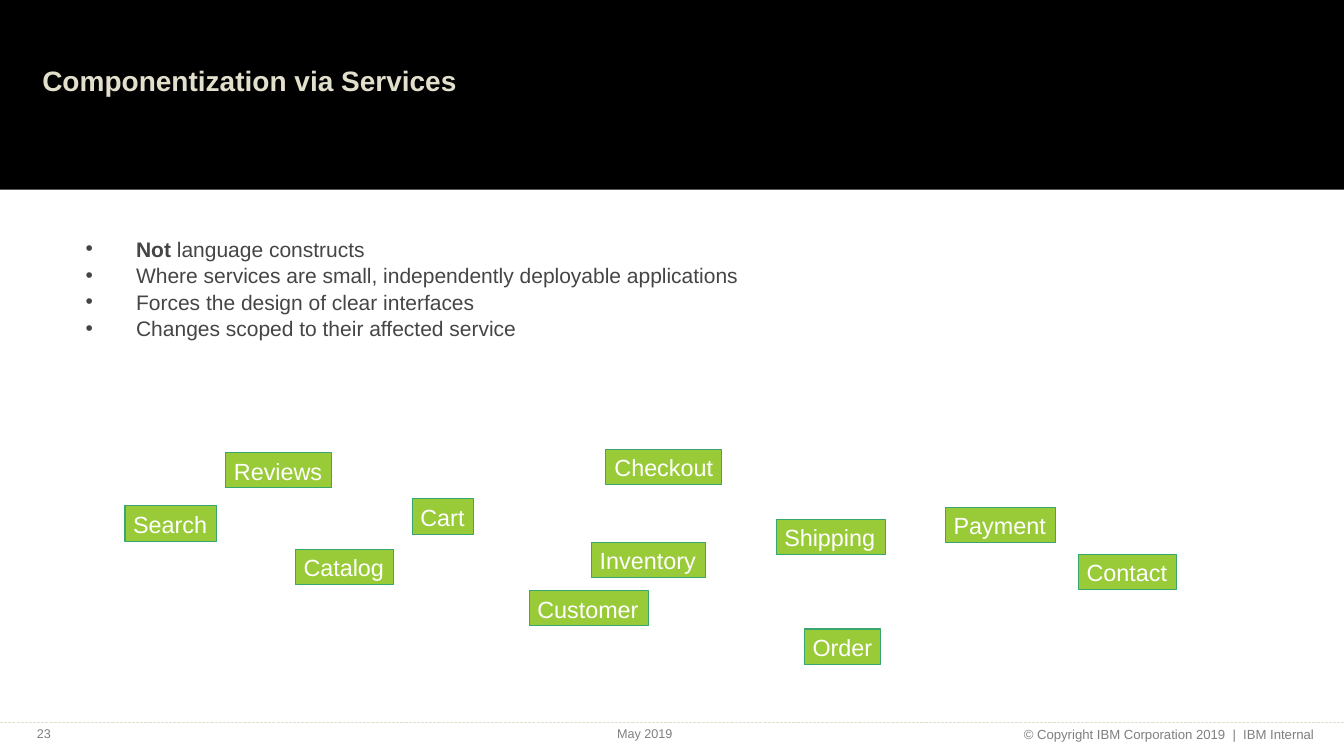
from dataclasses import dataclass

from lxml.etree import SubElement as sub
from pptx import Presentation
from pptx.dml.color import RGBColor as Rgb
from pptx.enum.dml import MSO_LINE as Dash
from pptx.enum.shapes import MSO_CONNECTOR as Conn, MSO_SHAPE as Shape
from pptx.enum.text import MSO_ANCHOR as Anchor, MSO_AUTO_SIZE as Fit, PP_ALIGN as Align
from pptx.oxml.ns import qn
from pptx.util import Pt


@dataclass(frozen=True)
class Theme:
    """Hold the colours and type sizes of the slide."""
    font: str = "Arial"
    dark: str = "000000"
    cream: str = "E2DFCC"
    body: str = "454545"
    gray: str = "7F7F7F"
    green: str = "99CB38"
    edge: str = "37A76F"
    white: str = "FFFFFF"
    head: float = 20
    text: float = 15
    label: float = 16.7
    foot: float = 9
    legal: float = 9.4


THEME = Theme()
WIDE, HIGH = 960, 540
BAND = 135.4
RULE = 516.2
TALL = 25.2

POINTS = [
    [("Not", True), (" language constructs", False)],
    [("Where services are small, independently deployable applications", False)],
    [("Forces the design of clear interfaces", False)],
    [("Changes scoped to their affected service", False)],
]

PARTS = [
    ("Cart", 294.5, 356.4, 43.9),
    ("Reviews", 161.3, 323.3, 75.6),
    ("Checkout", 432.7, 321.1, 82.8),
    ("Catalog", 211, 392.4, 69.8),
    ("Inventory", 422.6, 387.4, 81.4),
    ("Customer", 378, 421.9, 85),
    ("Shipping", 554.4, 370.8, 77.8),
    ("Payment", 675.4, 362.2, 78.5),
    ("Search", 89.3, 361.4, 65.5),
    ("Order", 574.6, 449.3, 54.7),
    ("Contact", 770.4, 396, 69.8),
]

FOOT = [
    ("May 2019", 254.2, 507.6, 412.6, 32.4, THEME.foot, Align.CENTER),
    ("© Copyright IBM Corporation 2019  |  IBM Internal",
     628.6, 508.3, 316.8, 31.7, THEME.legal, Align.RIGHT),
    ("23", 0, 508.3, 62.6, 31, THEME.foot, Align.CENTER),
]


def add_run(para, text, size, color, bold=False):
    """Add one styled run to a paragraph."""
    run = para.add_run()
    run.text = text
    font = run.font
    font.name, font.size, font.bold = THEME.font, Pt(size), bold
    font.color.rgb = Rgb.from_string(color)


def place(shape, x, y, w, h):
    """Move and size a shape in points."""
    shape.left, shape.top, shape.width, shape.height = map(Pt, (x, y, w, h))


def inset(frame, x, top, bottom):
    """Set the inner margins of a text frame in points."""
    frame.margin_left = frame.margin_right = Pt(x)
    frame.margin_top, frame.margin_bottom = Pt(top), Pt(bottom)


def add_rect(slide, x, y, w, h, fill):
    """Add a flat filled rectangle without an outline."""
    rect = slide.shapes.add_shape(Shape.RECTANGLE, *map(Pt, (x, y, w, h)))
    rect.shadow.inherit = False
    rect.fill.solid()
    rect.fill.fore_color.rgb = Rgb.from_string(fill)
    rect.line.fill.background()
    return rect


def add_band(slide):
    """Add the dark header band behind the title."""
    band = add_rect(slide, 0, 0, WIDE, BAND, THEME.dark)
    slide.shapes._spTree.insert(2, band._element)


def set_title(slide, text):
    """Place the title and write its text."""
    title = slide.shapes.title
    place(title, 30.2, 44.6, 810, 74.9)
    frame = title.text_frame
    inset(frame, 0, 3.6, 0)
    frame.vertical_anchor, frame.auto_size = Anchor.TOP, Fit.NONE
    para = frame.paragraphs[0]
    para.alignment, para.line_spacing = Align.LEFT, 0.9
    add_run(para, text, THEME.head, THEME.cream, True)


def set_list(slide, points):
    """Place the body and write its bullet list."""
    body = slide.placeholders[1]
    place(body, 54, 164.2, 738, 79.9)
    frame = body.text_frame
    frame.auto_size = Fit.NONE
    for i, runs in enumerate(points):
        para = frame.add_paragraph() if i else frame.paragraphs[0]
        props = para._p.get_or_add_pPr()
        props.set("marL", str(Pt(36)))
        props.set("indent", str(Pt(-36)))
        sub(props, qn("a:buFont"), typeface=THEME.font)
        sub(props, qn("a:buChar"), char="•")
        para.space_before, para.line_spacing = Pt(0), 1.05
        for text, bold in runs:
            add_run(para, text, THEME.text, THEME.body, bold)


def add_part(slide, name, x, y, w):
    """Add one green service label."""
    part = add_rect(slide, x, y, w, TALL, THEME.green)
    part.line.color.rgb = Rgb.from_string(THEME.edge)
    part.line.width = Pt(0)
    frame = part.text_frame
    inset(frame, 5.8, 2.9, 2.9)
    frame.word_wrap, frame.auto_size = False, Fit.SHAPE_TO_FIT_TEXT
    mid = name == "Checkout"
    frame.vertical_anchor = Anchor.MIDDLE if mid else Anchor.TOP
    para = frame.paragraphs[0]
    para.alignment = Align.CENTER if mid else Align.LEFT
    add_run(para, name, THEME.label, THEME.white)


def add_rule(slide):
    """Add the dashed line above the footer."""
    rule = slide.shapes.add_connector(
        Conn.STRAIGHT, Pt(0), Pt(RULE), Pt(WIDE), Pt(RULE))
    rule.line.color.rgb = Rgb.from_string(THEME.cream)
    rule.line.width = Pt(0.75)
    rule.line.dash_style = Dash.SQUARE_DOT
    sub(rule._element.spPr, qn("a:effectLst"))


def add_foot(slide, text, x, y, w, h, size, align):
    """Add one footer text."""
    frame = slide.shapes.add_textbox(*map(Pt, (x, y, w, h))).text_frame
    frame.word_wrap, frame.vertical_anchor = True, Anchor.MIDDLE
    para = frame.paragraphs[0]
    para.alignment = align
    add_run(para, text, size, THEME.gray)


def main():
    """Build and save the slide."""
    deck = Presentation()
    deck.slide_width, deck.slide_height = Pt(WIDE), Pt(HIGH)
    slide = deck.slides.add_slide(deck.slide_layouts[1])
    add_band(slide)
    set_title(slide, "Componentization via Services")
    set_list(slide, POINTS)
    for part in PARTS:
        add_part(slide, *part)
    add_rule(slide)
    for foot in FOOT:
        add_foot(slide, *foot)
    deck.save("out.pptx")


if __name__ == "__main__":
    main()
